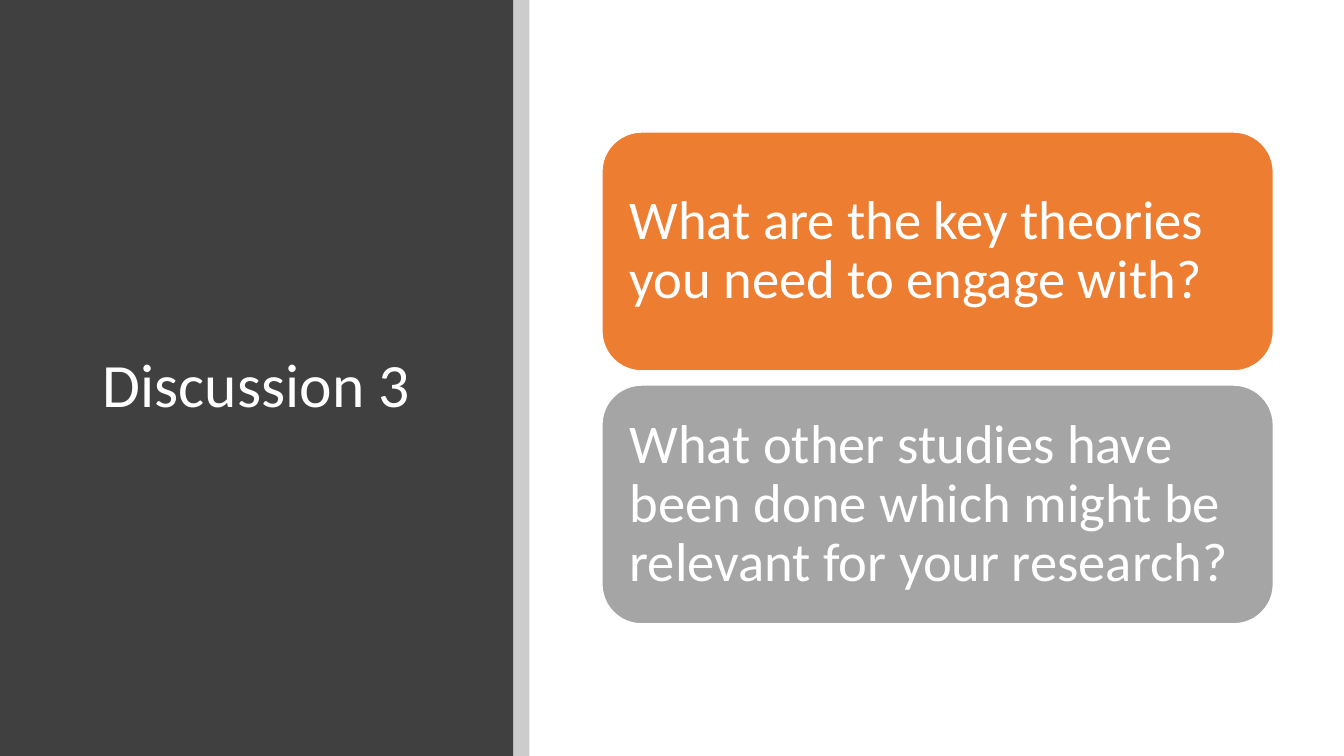
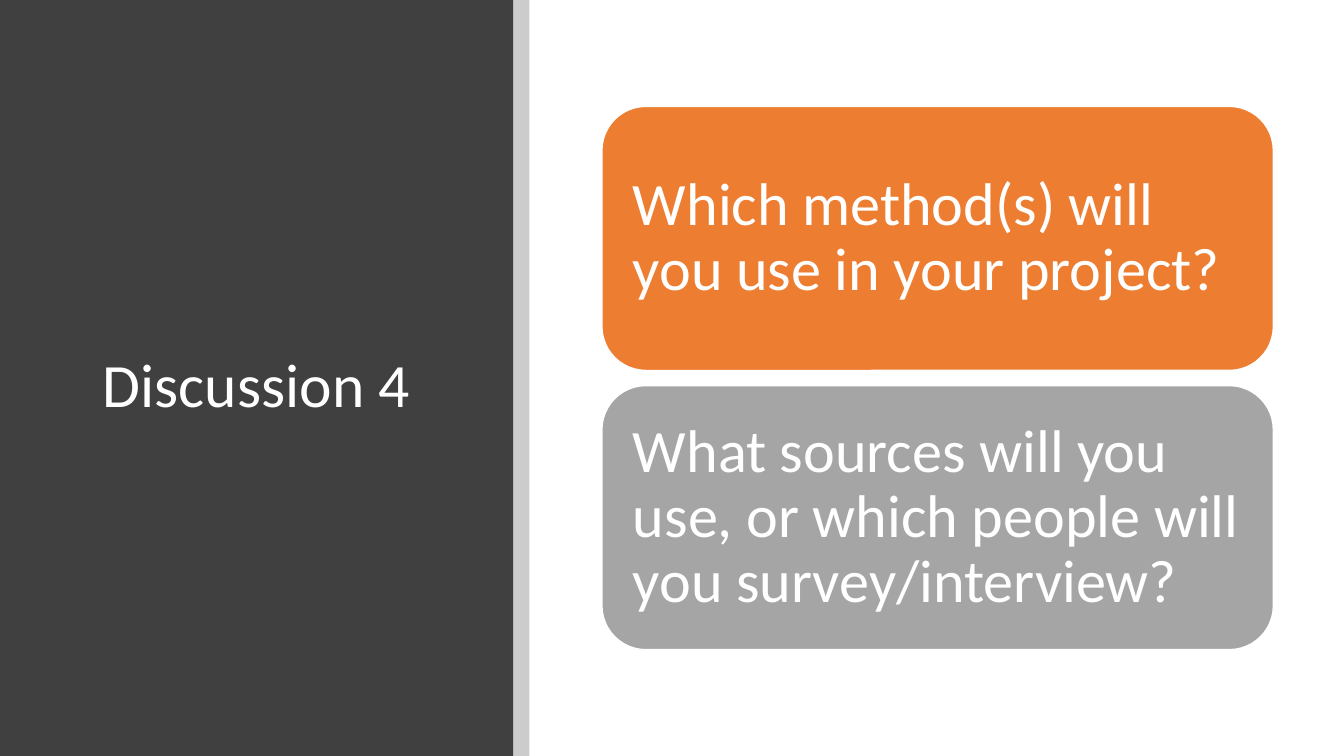
"""Build two discussion slides with a dark title panel and stacked question cards."""
import pptx
import pptx.util
import pptx.dml.color
import pptx.enum.shapes
import pptx.enum.text
from lxml import etree
from pptx.oxml.ns import qn

Inches, Pt = pptx.util.Inches, pptx.util.Pt
RGB = pptx.dml.color.RGBColor
SHAPE = pptx.enum.shapes.MSO_SHAPE
MIDDLE = pptx.enum.text.MSO_ANCHOR.MIDDLE
LEFT = pptx.enum.text.PP_ALIGN.LEFT

DARK = RGB(0x40, 0x40, 0x40)
BLACK = RGB(0, 0, 0)
WHITE = RGB(255, 255, 255)
ORANGE = RGB(0xED, 0x7D, 0x31)
GREY = RGB(0xA5, 0xA5, 0xA5)
FILLS = ORANGE, GREY
FONT = "Calibri"

WIDE, HIGH = 13.33, 7.5
PANEL, STRIP = 5.09, 0.16
CARD_X, CARD_W = 5.97, 6.66

SLIDES = [
    {
        "title": "Discussion 3",
        "cards": [
            "What are the key theories you need to engage with?",
            "What other studies have been done which might be relevant for your research?",
        ],
        "size": 39, "height": 2.37, "gap": 0.14, "inset": 0.16,
    },
    {
        "title": "Discussion 4",
        "cards": [
            "Which method(s) will you use in your project?",
            "What sources will you use, or which people will you survey/interview?",
        ],
        "size": 43, "height": 2.62, "gap": 0.15, "inset": 0.18,
    },
]


def place(shape, box):
    shape.left, shape.top, shape.width, shape.height = map(Inches, box)


def write(shape, text, size):
    frame = shape.text_frame
    frame.text = text
    frame.word_wrap = True
    frame.auto_size = pptx.enum.text.MSO_AUTO_SIZE.NONE
    frame.vertical_anchor = MIDDLE
    para = frame.paragraphs[0]
    para.alignment = LEFT
    para.line_spacing = 0.9
    font = para.runs[0].font
    font.name, font.size = FONT, Pt(size)
    font.color.rgb = WHITE


def block(slide, kind, box, color):
    shape = slide.shapes.add_shape(kind, *map(Inches, box))
    shape.shadow.inherit = False
    shape.fill.solid()
    shape.fill.fore_color.rgb = color
    shape.line.fill.background()
    return shape


def frame_slide(slide, text):
    panel = block(slide, SHAPE.RECTANGLE, (0, 0, PANEL, HIGH), DARK)
    slide.shapes.title._element.addprevious(panel._element)
    strip = block(slide, SHAPE.RECTANGLE, (PANEL, 0, STRIP, HIGH), BLACK)
    color = strip._element.spPr.find(qn("a:solidFill"))[0]
    etree.SubElement(color, qn("a:alpha"), val="20000")
    place(slide.shapes.title, (0.92, 0.89, 3.65, 5.91))
    write(slide.shapes.title, text, 44)


def add_cards(slide, data):
    texts, high, gap = data["cards"], data["height"], data["gap"]
    top = (HIGH - len(texts) * high - (len(texts) - 1) * gap) / 2
    for row, (text, fill) in enumerate(zip(texts, FILLS)):
        box = CARD_X, top + row * (high + gap), CARD_W, high
        card = block(slide, SHAPE.ROUNDED_RECTANGLE, box, fill)
        card.line.color.rgb = WHITE
        card.line.width = Pt(1)
        write(card, text, data["size"])
        frame = card.text_frame
        frame.margin_left = frame.margin_right = Inches(data["inset"])
        frame.margin_top = frame.margin_bottom = Inches(data["inset"])


def main():
    deck = pptx.Presentation()
    deck.slide_width, deck.slide_height = Inches(WIDE), Inches(HIGH)
    for data in SLIDES:
        slide = deck.slides.add_slide(deck.slide_layouts[5])
        frame_slide(slide, data["title"])
        add_cards(slide, data)
    deck.save("out.pptx")


if __name__ == "__main__":
    main()
